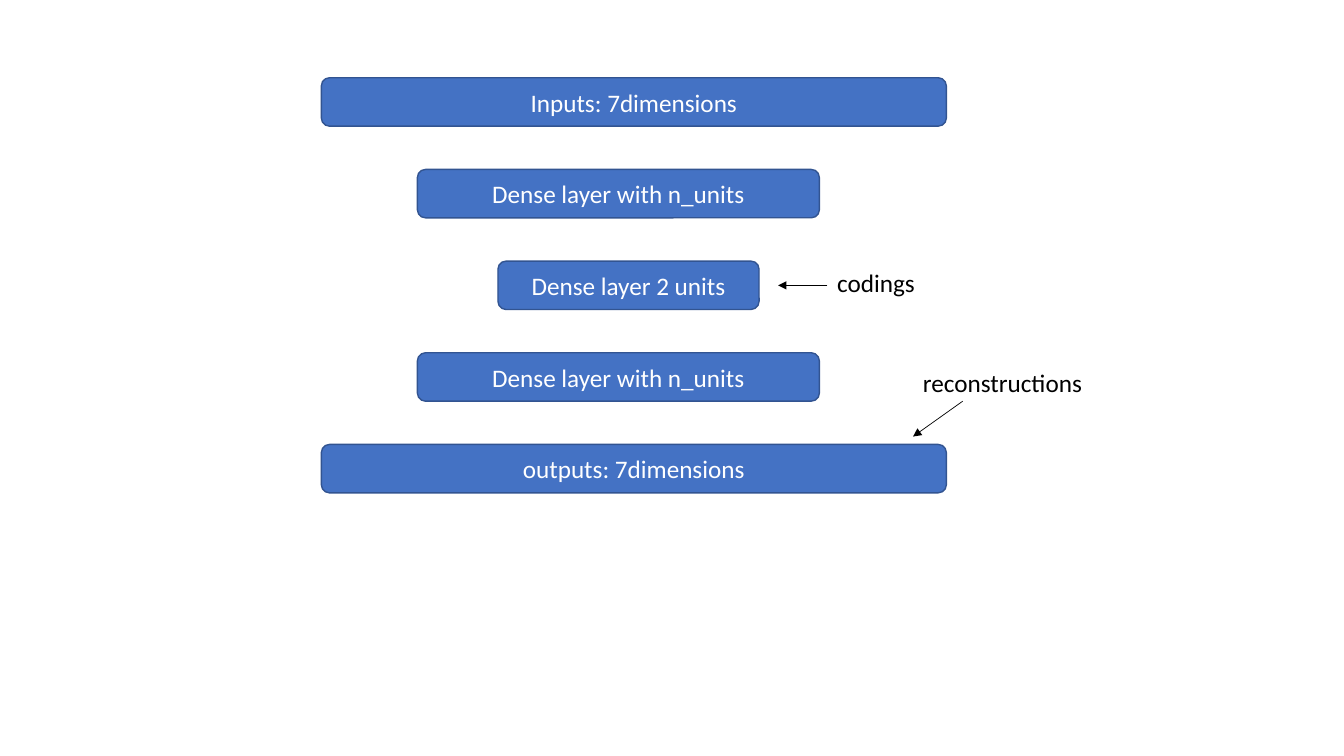
import dataclasses

import pptx
import pptx.dml.color
import pptx.enum.shapes
import pptx.enum.text
import pptx.oxml
import pptx.oxml.ns
import pptx.slide
import pptx.text.text
import pptx.util
from pptx.util import Cm

FONT_NAME = "Calibri"
FONT_SIZE = pptx.util.Pt(18)
LAYER_FILL = "4472C4"
LAYER_OUTLINE = "325491"
WHITE = "FFFFFF"
BLACK = "000000"

FIRST_LAYER_TOP = 1.96
LAYER_PITCH = 2.31
LAYER_HEIGHT = 1.22


@dataclasses.dataclass(frozen=True)
class LayerSize:
    left: float
    width: float


@dataclasses.dataclass(frozen=True)
class Layer:
    text: str
    size: LayerSize


@dataclasses.dataclass(frozen=True)
class Annotation:
    text: str
    left: float
    top: float
    width: float
    arrow_start: tuple[float, float]
    arrow_end: tuple[float, float]


OUTER = LayerSize(8.1, 15.75)
HIDDEN = LayerSize(10.52, 10.13)
CODING = LayerSize(12.55, 6.58)

LAYERS = [
    Layer("Inputs: 7dimensions", OUTER),
    Layer("Dense layer with n_units", HIDDEN),
    Layer("Dense layer 2 units", CODING),
    Layer("Dense layer with n_units", HIDDEN),
    Layer("outputs: 7dimensions", OUTER),
]

ANNOTATIONS = [
    Annotation("reconstructions", 23.01, 9.12, 4.57, (24.26, 10.11), (23.01, 11)),
    Annotation("codings", 20.85, 6.6, 2.49, (20.85, 7.19), (19.61, 7.19)),
]


def color(value: str) -> pptx.dml.color.RGBColor:
    return pptx.dml.color.RGBColor.from_string(value)


def write_text(frame: pptx.text.text.TextFrame, text: str, text_color: str) -> None:
    paragraph = frame.paragraphs[0]
    paragraph.text = text
    paragraph.font.name = FONT_NAME
    paragraph.font.size = FONT_SIZE
    paragraph.font.color.rgb = color(text_color)


def draw_layer(slide: pptx.slide.Slide, layer: Layer, top: float) -> None:
    shape = slide.shapes.add_shape(
        pptx.enum.shapes.MSO_SHAPE.ROUNDED_RECTANGLE,
        Cm(layer.size.left), Cm(top), Cm(layer.size.width), Cm(LAYER_HEIGHT),
    )
    shape.shadow.inherit = False
    shape.fill.solid()
    shape.fill.fore_color.rgb = color(LAYER_FILL)
    shape.line.color.rgb = color(LAYER_OUTLINE)
    shape.line.width = pptx.util.Pt(1)
    frame = shape.text_frame
    frame.vertical_anchor = pptx.enum.text.MSO_ANCHOR.MIDDLE
    write_text(frame, layer.text, WHITE)
    frame.paragraphs[0].alignment = pptx.enum.text.PP_ALIGN.CENTER


def draw_arrow(
    slide: pptx.slide.Slide, start: tuple[float, float], end: tuple[float, float]
) -> None:
    connector = slide.shapes.add_connector(
        pptx.enum.shapes.MSO_CONNECTOR.STRAIGHT,
        *(Cm(coordinate) for coordinate in start + end),
    )
    connector.line.color.rgb = color(BLACK)
    connector.line.width = pptx.util.Pt(0.5)
    arrowhead = pptx.oxml.parse_xml(
        f'<a:tailEnd {pptx.oxml.ns.nsdecls("a")} type="triangle"/>'
    )
    connector.line._get_or_add_ln().append(arrowhead)
    no_effects = pptx.oxml.parse_xml(f'<a:effectLst {pptx.oxml.ns.nsdecls("a")}/>')
    connector._element.spPr.append(no_effects)


def draw_annotation(slide: pptx.slide.Slide, annotation: Annotation) -> None:
    draw_arrow(slide, annotation.arrow_start, annotation.arrow_end)
    text_box = slide.shapes.add_textbox(
        Cm(annotation.left), Cm(annotation.top), Cm(annotation.width), Cm(1.02)
    )
    frame = text_box.text_frame
    frame.word_wrap = False
    frame.auto_size = pptx.enum.text.MSO_AUTO_SIZE.SHAPE_TO_FIT_TEXT
    write_text(frame, annotation.text, BLACK)


presentation = pptx.Presentation()
presentation.slide_width = Cm(33.87)
presentation.slide_height = Cm(19.05)
slide = presentation.slides.add_slide(presentation.slide_layouts[6])

for index, layer in enumerate(LAYERS):
    draw_layer(slide, layer, FIRST_LAYER_TOP + index * LAYER_PITCH)
for annotation in ANNOTATIONS:
    draw_annotation(slide, annotation)

presentation.save("out.pptx")
